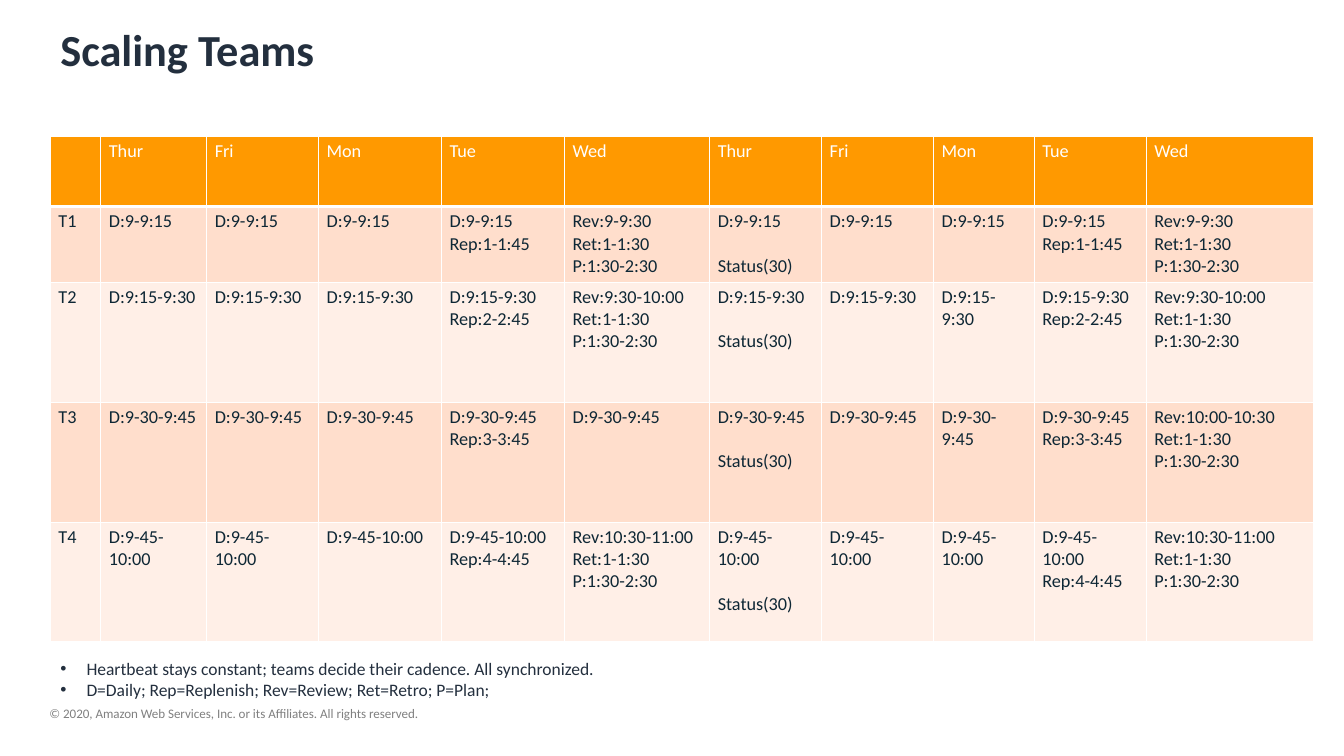
from dataclasses import dataclass

from lxml import etree
from pptx import Presentation
from pptx.dml.color import RGBColor
from pptx.enum.text import MSO_ANCHOR, MSO_AUTO_SIZE
from pptx.oxml.ns import qn
from pptx.util import Inches, Pt

TOP = MSO_ANCHOR.TOP
GROW = MSO_AUTO_SIZE.SHAPE_TO_FIT_TEXT
NO_GROW = MSO_AUTO_SIZE.NONE

FONT = "Calibri"
NAVY = RGBColor(0x23, 0x2F, 0x3E)
INK = RGBColor(0x0E, 0x27, 0x35)
GREY = RGBColor(0x80, 0x80, 0x80)
WHITE = RGBColor(0xFF, 0xFF, 0xFF)
ORANGE = RGBColor(0xFF, 0x99, 0x00)
PEACH = RGBColor(0xFF, 0xDE, 0xCC)
PALE_PEACH = RGBColor(0xFF, 0xEF, 0xE7)

DAYS = ["Thur", "Fri", "Mon", "Tue", "Wed"]
WEEKS = 2
COL_WIDTHS = [0.5, 1.05, 1.11, 1.22, 1.22, 1.44, 1.11, 1.11, 1, 1.11, 1.66]
ROW_HEIGHTS = [0.7, 0.75, 1.19, 1.19, 1.19]
CELL_SIZE = 13
STATUS_GAP = 15.9  # one text line


@dataclass
class Team:
    name: str
    daily: str
    replenish: str
    review: str
    reviews_each_week: bool = True

    def meetings(self, week: int, day: str) -> list[str]:
        daily = f"D:{self.daily}"
        if day == "Wed" and (week == WEEKS - 1 or self.reviews_each_week):
            return [f"Rev:{self.review}", "Ret:1-1:30", "P:1:30-2:30"]
        if day == "Tue":
            return [daily, f"Rep:{self.replenish}"]
        if day == "Thur" and week == 1:
            return [daily, "Status(30)"]
        return [daily]


TEAMS = [
    Team("T1", "9-9:15", "1-1:45", "9-9:30"),
    Team("T2", "9:15-9:30", "2-2:45", "9:30-10:00"),
    Team("T3", "9-30-9:45", "3-3:45", "10:00-10:30", reviews_each_week=False),
    Team("T4", "9-45-10:00", "4-4:45", "10:30-11:00"),
]


def write(tf, lines: list[str], *, size: float, color: RGBColor,
          bold: bool = False, bullet: bool = False) -> None:
    for i, line in enumerate(lines):
        p = tf.paragraphs[0] if i == 0 else tf.add_paragraph()
        if bullet:
            pPr = p._p.get_or_add_pPr()
            pPr.set("marL", str(Inches(0.26)))
            pPr.set("indent", str(-Inches(0.26)))
            etree.SubElement(pPr, qn("a:buFont"), typeface="Arial")
            etree.SubElement(pPr, qn("a:buChar"), char="•")
        r = p.add_run()
        r.text = line
        r.font.name = FONT
        r.font.size = Pt(size)
        r.font.bold = bold
        r.font.color.rgb = color


def add_text(s, box: tuple[float, ...], lines: list[str], *, inset: bool = True,
             wrap: bool = True, grow: bool = True, **fmt) -> None:
    tf = s.shapes.add_textbox(*map(Inches, box)).text_frame
    tf.word_wrap = wrap
    tf.auto_size = GROW if grow else NO_GROW
    tf.vertical_anchor = TOP
    if not inset:
        tf.margin_left = tf.margin_right = tf.margin_top = tf.margin_bottom = 0
    write(tf, lines, **fmt)


def set_borders(cell, *, top: float = 1, bottom: float = 1) -> None:
    tcPr = cell._tc.get_or_add_tcPr()
    for side, width in {"L": 1, "R": 1, "T": top, "B": bottom}.items():
        ln = etree.SubElement(tcPr, qn(f"a:ln{side}"), w=str(Pt(width)))
        fill = etree.SubElement(ln, qn("a:solidFill"))
        etree.SubElement(fill, qn("a:srgbClr"), val=str(WHITE))


def fill_cell(cell, lines: list[str], row: int) -> None:
    header = row == 0
    set_borders(cell, top=3 if row == 1 else 1, bottom=3 if header else 1)
    cell.fill.solid()
    cell.fill.fore_color.rgb = ORANGE if header else PEACH if row % 2 else PALE_PEACH
    cell.margin_left = cell.margin_right = Inches(0.08)
    cell.margin_top = cell.margin_bottom = Inches(0.04)
    tf = cell.text_frame
    write(tf, lines, size=CELL_SIZE, color=WHITE if header else INK)
    for p in tf.paragraphs:
        if p.text.startswith("Status"):
            p.space_before = Pt(STATUS_GAP)


def add_schedule(s) -> None:
    slots = [(week, day) for week in range(WEEKS) for day in DAYS]
    rows = [[[]] + [[day] for _, day in slots]]
    rows += [[[team.name]] + [team.meetings(*slot) for slot in slots] for team in TEAMS]
    table = s.shapes.add_table(
        len(rows), len(COL_WIDTHS), Inches(0.5), Inches(1.35),
        Inches(sum(COL_WIDTHS)), Inches(sum(ROW_HEIGHTS))).table
    for column, width in zip(table.columns, COL_WIDTHS):
        column.width = Inches(width)
    for table_row, height in zip(table.rows, ROW_HEIGHTS):
        table_row.height = Inches(height)
    for i, row in enumerate(rows):
        for j, lines in enumerate(row):
            fill_cell(table.cell(i, j), lines, i)


def main() -> None:
    prs = Presentation()
    prs.slide_width, prs.slide_height = Inches(13.33), Inches(7.5)
    s = prs.slides.add_slide(prs.slide_layouts[6])
    add_text(s, (0.49, 7, 6.48, 0.16),
             ["© 2020, Amazon Web Services, Inc. or its Affiliates. All rights reserved."],
             inset=False, size=9.3, color=GREY)
    add_text(s, (0.5, 0.17, 12.31, 0.8), ["Scaling Teams"],
             grow=False, size=31.7, color=NAVY, bold=True)
    add_text(s, (0.5, 6.48, 5.92, 0.52),
             ["Heartbeat stays constant; teams decide their cadence. All synchronized.",
              "D=Daily; Rep=Replenish; Rev=Review; Ret=Retro; P=Plan;"],
             wrap=False, size=12.5, color=NAVY, bullet=True)
    add_schedule(s)
    prs.save("out.pptx")


if __name__ == "__main__":
    main()
